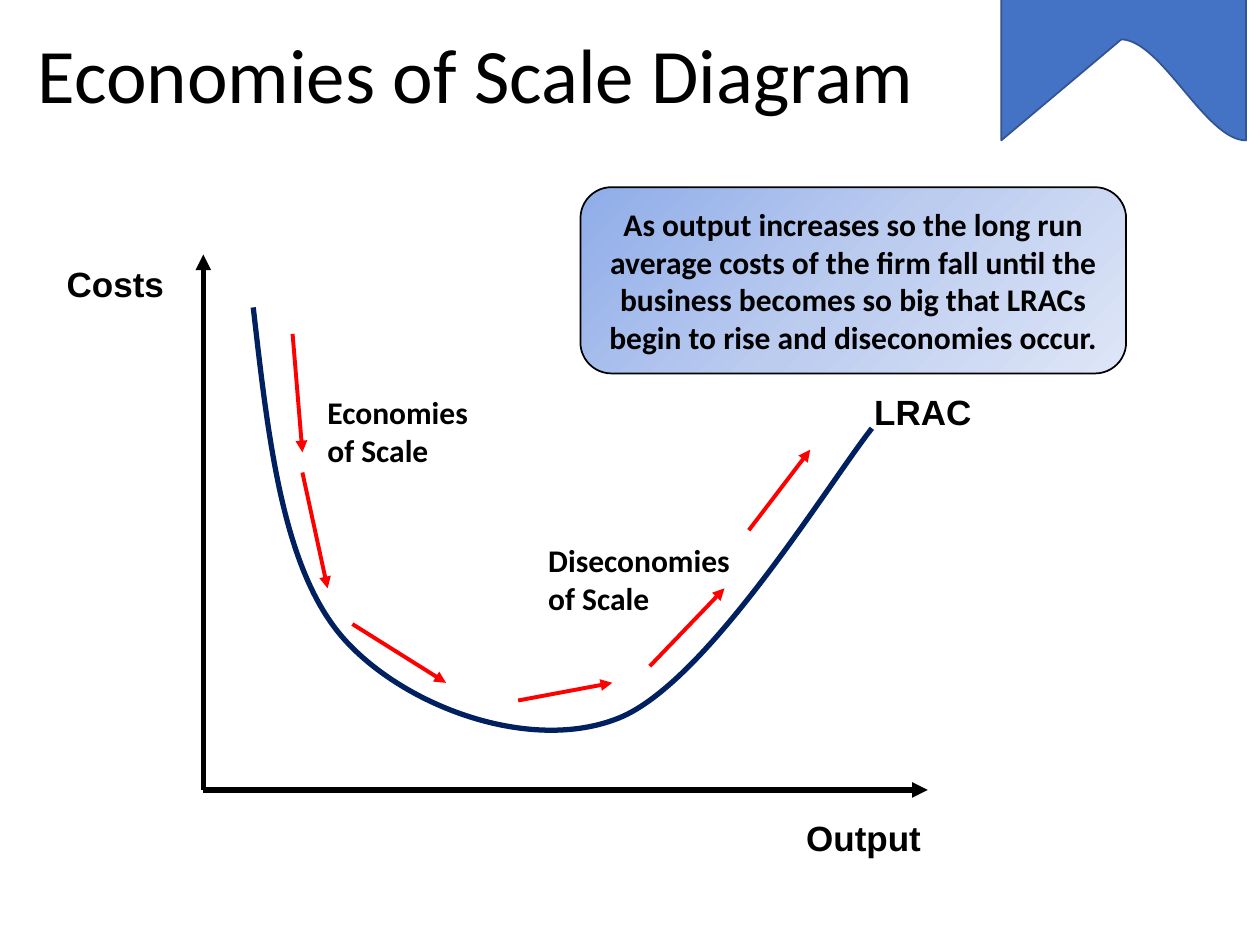
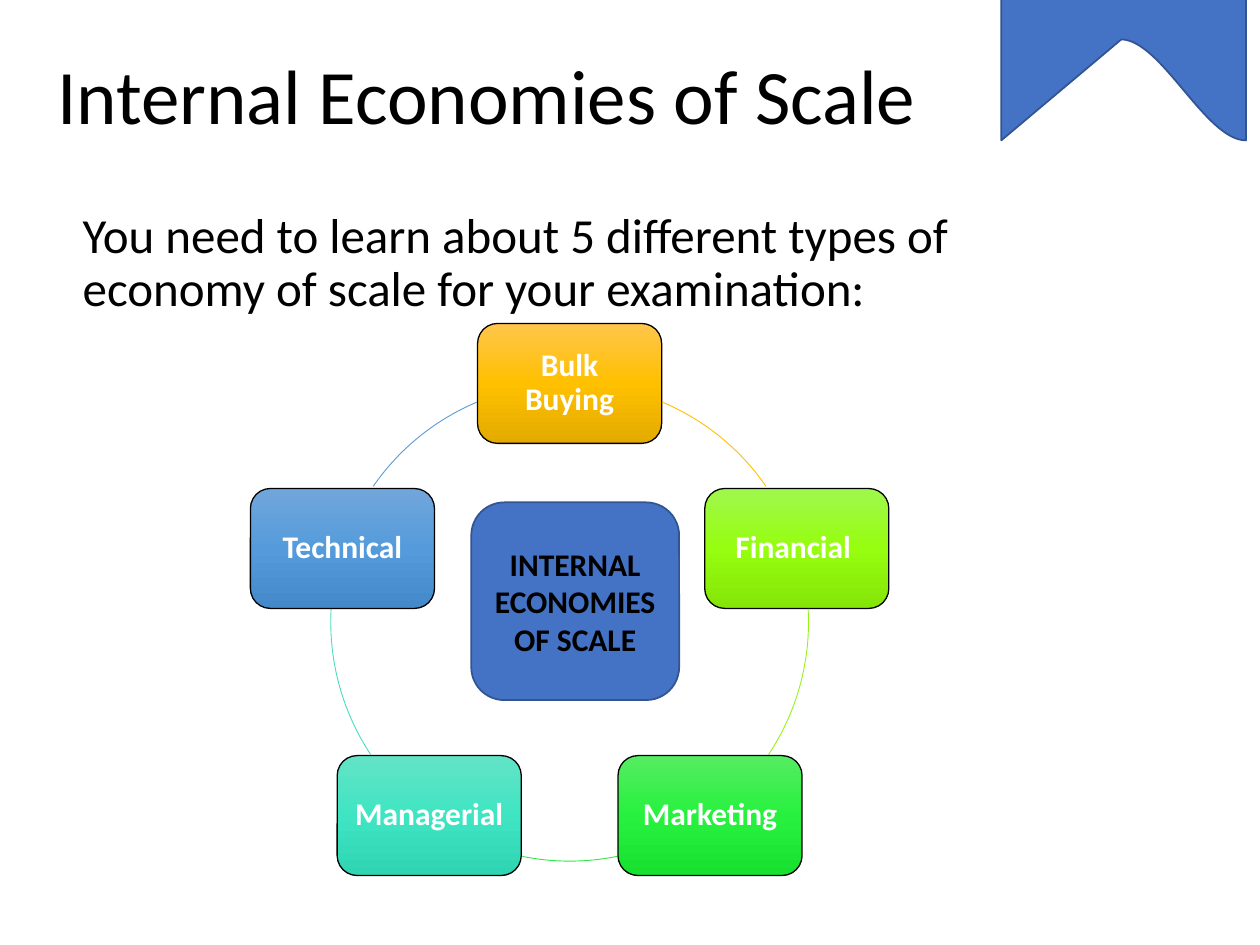
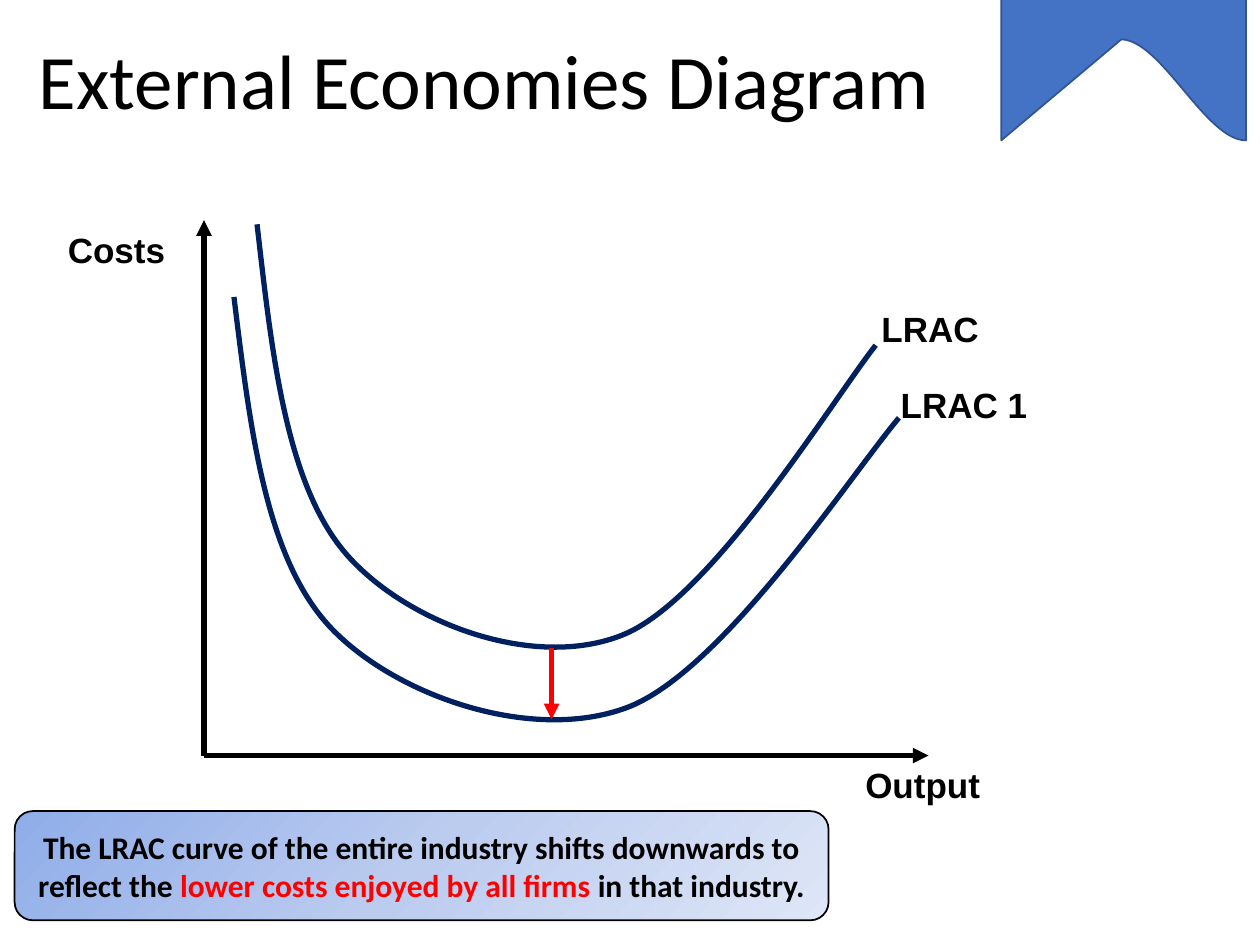
from copy import deepcopy
from math import cos, radians, sin, tan

from lxml.etree import SubElement
from pptx import Presentation
from pptx.dml.color import RGBColor
from pptx.enum.shapes import MSO_CONNECTOR, MSO_SHAPE
from pptx.enum.text import MSO_ANCHOR, MSO_AUTO_SIZE, PP_ALIGN
from pptx.oxml.ns import qn
from pptx.util import Pt

# ---- Shared look ----
BLACK, WHITE, RED, NAVY = "000000", "FFFFFF", "FF0000", "002060"
BLUE, BLUE_EDGE = "4472C4", "325491"
CALLOUT_GRADIENT = ("8FADE9", "BCCCEF", "DEE6F7")
AXIS_W, AXIS_H = 414, 306
LABEL_SIZE = (153.4, 31.7)

# Outlines as points from the frame's corner: one point is a line, three are a Bezier curve
LRAC_SIZE = (353.5, 241.9)
LRAC_STEPS = [
    ((8.6, 74.9), (16.6, 149.8), (51.8, 189.4)),
    ((86.4, 228.2), (158.4, 254.9), (208.8, 234.7)),
    ((259.2, 214.6), (327.6, 102.2), (353.5, 69.1)),
]
RIBBON_BOX = (572.2, -433.6, 139.8, 513.8)
RIBBON_STEPS = [
    ((139.8, 0),),
    ((139.8, 513.8),),
    ((116.8, 513.8), (91.6, 456.6), (68.6, 456.1)),
    ((0, 513.8),),
    ((0, 0),),
]

# ---- Content: cost diagrams ----
SCALE_DIAGRAM = {
    "title": ("Economies of Scale Diagram", (14.4, 0, 600, 90)),
    "origin": (116.2, 451.4),
    "curves": [((144.7, 175.7), 1)],
    "labels": [("Output", 453.6, 463), ("Costs", 31, 146.2), ("LRAC", 492.5, 219.6)],
    "notes": [("Economies of Scale", (180, 221, 95, 51.1)),
              ("Diseconomies of Scale", (306.2, 305.7, 121.7, 51.1))],
    "arrows": [((167.2, 190.8), (172.8, 258.5)), ((172.8, 270), (187.2, 336.2)),
               ((201.4, 356.6), (254.9, 390.2)), ((296.1, 400.3), (349.9, 390.2)),
               ((371.3, 380.7), (414, 336.2)), ((427.9, 303), (463, 257))],
    "arrow_width": 2.25,
    "callout": ([("As output increases so the long run average costs of the firm "
                  "fall until the business becomes so big that LRACs begin to "
                  "rise and diseconomies occur.", BLACK)],
                (331.7, 107, 311.8, 106.4)),
}
EXTERNAL_DIAGRAM = {
    "title": ("External Economies Diagram", (15, 16.2, 600, 64)),
    "origin": (116.6, 431.8),
    "curves": [((133.7, 169.7), 1.075), ((146.9, 128.2), 1)],
    "labels": [("Output", 487.4, 432.7), ("Costs", 31.7, 127),
               ("LRAC", 496.6, 172.1), ("LRAC 1", 507.6, 215.8)],
    "notes": [],
    "arrows": [((315.2, 370.1), (315.2, 411.1))],
    "arrow_width": 3,
    "callout": ([("The LRAC curve of the entire industry shifts downwards to reflect the ", BLACK),
                 ("lower costs enjoyed by all firms ", RED),
                 ("in that industry.", BLACK)],
                (8.4, 463.5, 465.1, 62.4)),
}

# ---- Content: cycle of internal economies ----
CYCLE_TITLE = ("Internal Economies of Scale", (25.5, 26.3, 600, 61.2))
CYCLE_INTRO = "You need to learn about 5 different types of economy of scale for your examination:"
CYCLE_CENTRE, CYCLE_RADIUS = (325.5, 355.6), 136.5
NODE_W, NODE_H, NODE_PAD = 105.2, 68.5, 3.4
# text, gradient, colour of the following arc, arc start and end in degrees from the top
CYCLE_NODES = [
    ("Bulk Buying", ("FFC64B", "FFC000", "E3AB00"), "FFC000", 22.8, 55.3),
    ("Financial ", ("A0F74E", "96FE0E", "85E509"), "94F319", 86.8, 123.6),
    ("Marketing", ("56EC62", "27F13E", "18E02F"), "30E845", 168.6, 191.4),
    ("Managerial", ("63E3C6", "3FE5C3", "2FD4B2"), "46DEBF", 236.4, 273.2),
    ("Technical", ("71A6DB", "559BDB", "448ACA"), "5B9BD5", 304.7, 337.2),
]
HUB = ("INTERNAL ECONOMIES OF SCALE", (269.3, 287.1, 118.8, 113))


# ---- Helpers ----
def rgb(value):
    return RGBColor.from_string(value)


def write(tf, text, size=18, font="Calibri", color=BLACK, bold=True,
          align=PP_ALIGN.LEFT, anchor=MSO_ANCHOR.TOP, spacing=None, inset=None):
    """Fill a text frame with a string or with (text, colour) runs."""
    tf.word_wrap = True
    tf.auto_size = MSO_AUTO_SIZE.NONE
    tf.vertical_anchor = anchor
    if inset is not None:
        tf.margin_left = tf.margin_right = tf.margin_top = tf.margin_bottom = Pt(inset)
    p = tf.paragraphs[0]
    p.alignment = align
    if spacing:
        p.line_spacing = spacing
    for part, part_color in [(text, color)] if isinstance(text, str) else text:
        r = p.add_run()
        r.text = part
        r.font.size, r.font.name, r.font.bold = Pt(size), font, bold
        r.font.color.rgb = rgb(part_color)
    return p


def place(sp, box):
    sp.left, sp.top, sp.width, sp.height = (Pt(v) for v in box)


def add_text(slide, text, box, **fmt):
    sp = slide.shapes.add_textbox(*(Pt(v) for v in box))
    write(sp.text_frame, text, **fmt)


def paint(sp, fill, line, width, angle=0):
    """Fill with nothing, one colour, or a tuple of evenly spaced gradient stops."""
    sp.shadow.inherit = False
    sp.line.color.rgb = rgb(line)
    sp.line.width = Pt(width)
    if fill is None:
        sp.fill.background()
    elif isinstance(fill, str):
        sp.fill.solid()
        sp.fill.fore_color.rgb = rgb(fill)
    else:
        sp.fill.gradient()
        sp.fill.gradient_angle = 360 - angle
        stop_list = sp._element.spPr.find(qn("a:gradFill")).find(qn("a:gsLst"))
        stop_list.append(deepcopy(stop_list[0]))
        for i, (stop, color) in enumerate(zip(sp.fill.gradient_stops, fill)):
            stop.color.rgb = rgb(color)
            stop.position = i / (len(fill) - 1)


def add_box(slide, box, fill, line=BLACK, width=1, angle=0):
    sp = slide.shapes.add_shape(MSO_SHAPE.ROUNDED_RECTANGLE, *(Pt(v) for v in box))
    paint(sp, fill, line, width, angle)
    return sp


def add_text_box_shape(slide, text, box, fill, **look):
    sp = add_box(slide, box, fill, **look)
    write(sp.text_frame, text, align=PP_ALIGN.CENTER, anchor=MSO_ANCHOR.MIDDLE)


def add_arrow(slide, start, end, color, width):
    sp = slide.shapes.add_connector(MSO_CONNECTOR.STRAIGHT, *(Pt(v) for v in start + end))
    sp.line.color.rgb = rgb(color)
    sp.line.width = Pt(width)
    SubElement(sp.line._get_or_add_ln(), qn("a:tailEnd"), type="triangle")
    SubElement(sp._element.spPr, qn("a:effectLst"))


def add_outline(slide, box, start, steps, line, width, fill=None, close=False):
    """Draw lines and Bezier curves inside a frame, then set the frame's place."""
    builder = slide.shapes.build_freeform(0, 0)
    builder.add_line_segments([(Pt(box[2]), Pt(box[3]))], close=False)
    sp = builder.convert_to_shape()
    place(sp, box)
    outline = next(sp._element.iter(qn("a:path")))
    for child in list(outline):
        outline.remove(child)
    for tag, points in [("a:moveTo", (start,))] + [
            ("a:lnTo" if len(s) == 1 else "a:cubicBezTo", s) for s in steps]:
        command = SubElement(outline, qn(tag))
        for x, y in points:
            SubElement(command, qn("a:pt"), x=str(Pt(x)), y=str(Pt(y)))
    if close:
        SubElement(outline, qn("a:close"))
    paint(sp, fill, line, width)


def on_ring(degrees, centre=CYCLE_CENTRE):
    a = radians(degrees)
    return centre[0] + CYCLE_RADIUS * sin(a), centre[1] - CYCLE_RADIUS * cos(a)


def add_arc(slide, start, end, color):
    r = CYCLE_RADIUS
    box = (CYCLE_CENTRE[0] - r, CYCLE_CENTRE[1] - r, 2 * r, 2 * r)
    reach = 4 / 3 * tan(radians(end - start) / 4) * r
    (x1, y1), (x2, y2) = on_ring(start, (r, r)), on_ring(end, (r, r))
    a, b = radians(start), radians(end)
    curve = ((x1 + reach * cos(a), y1 + reach * sin(a)),
             (x2 - reach * cos(b), y2 - reach * sin(b)), (x2, y2))
    add_outline(slide, box, (x1, y1), [curve], color, 0.5)


# ---- Slides ----
def add_slide(prs, layout, title):
    slide = prs.slides.add_slide(prs.slide_layouts[layout])
    text, box = title
    place(slide.shapes.title, box)
    write(slide.shapes.title.text_frame, text, size=44, bold=False,
          anchor=MSO_ANCHOR.MIDDLE, spacing=0.9)
    return slide


def add_ribbon(slide):
    add_outline(slide, RIBBON_BOX, (0, 0), RIBBON_STEPS, BLUE_EDGE, 1, fill=BLUE, close=True)


def add_diagram(prs, d):
    slide = add_slide(prs, 5, d["title"])
    x, y = d["origin"]
    for end in ((x, y - AXIS_H), (x + AXIS_W, y)):
        add_arrow(slide, (x, y), end, BLACK, 3)
    for (left, top), stretch in d["curves"]:
        steps = [[(px * stretch, py) for px, py in step] for step in LRAC_STEPS]
        box = (left, top, LRAC_SIZE[0] * stretch, LRAC_SIZE[1])
        add_outline(slide, box, (0, 0), steps, NAVY, 3, fill=WHITE)
    for start, end in d["arrows"]:
        add_arrow(slide, start, end, RED, d["arrow_width"])
    for text, left, top in d["labels"]:
        add_text(slide, text, (left, top, *LABEL_SIZE), size=20, font="Arial")
    for text, box in d["notes"]:
        add_text(slide, text, box)
    text, box = d["callout"]
    add_text_box_shape(slide, text, box, CALLOUT_GRADIENT, angle=45)
    add_ribbon(slide)


def add_cycle(prs):
    slide = add_slide(prs, 1, CYCLE_TITLE)
    # Introduction without a bullet
    body = slide.placeholders[1]
    place(body, (31.3, 117, 600, 378))
    p = write(body.text_frame, CYCLE_INTRO, size=28, bold=False, spacing=0.9)
    p.space_before = Pt(10)
    pPr = p._p.get_or_add_pPr()
    pPr.set("marL", str(Pt(8.8)))
    pPr.set("indent", "0")
    SubElement(pPr, qn("a:buNone"))
    # Ring of nodes, each with its label and followed by its arc
    for i, (text, gradient, arc_color, start, end) in enumerate(CYCLE_NODES):
        cx, cy = on_ring(i * 360 / len(CYCLE_NODES))
        left, top = cx - NODE_W / 2, cy - NODE_H / 2
        add_box(slide, (left, top, NODE_W, NODE_H), gradient, width=0.75, angle=90)
        label_box = (left + NODE_PAD, top + NODE_PAD,
                     NODE_W - 2 * NODE_PAD, NODE_H - 2 * NODE_PAD)
        add_text(slide, text, label_box, color=WHITE, align=PP_ALIGN.CENTER,
                 anchor=MSO_ANCHOR.MIDDLE, spacing=0.9, inset=5.8)
        add_arc(slide, start, end, arc_color)
    text, box = HUB
    add_text_box_shape(slide, text, box, BLUE, line=BLUE_EDGE)
    add_ribbon(slide)


def main():
    prs = Presentation()
    prs.slide_width, prs.slide_height = Pt(720), Pt(540)
    add_diagram(prs, SCALE_DIAGRAM)
    add_cycle(prs)
    add_diagram(prs, EXTERNAL_DIAGRAM)
    prs.save("out.pptx")


if __name__ == "__main__":
    main()
